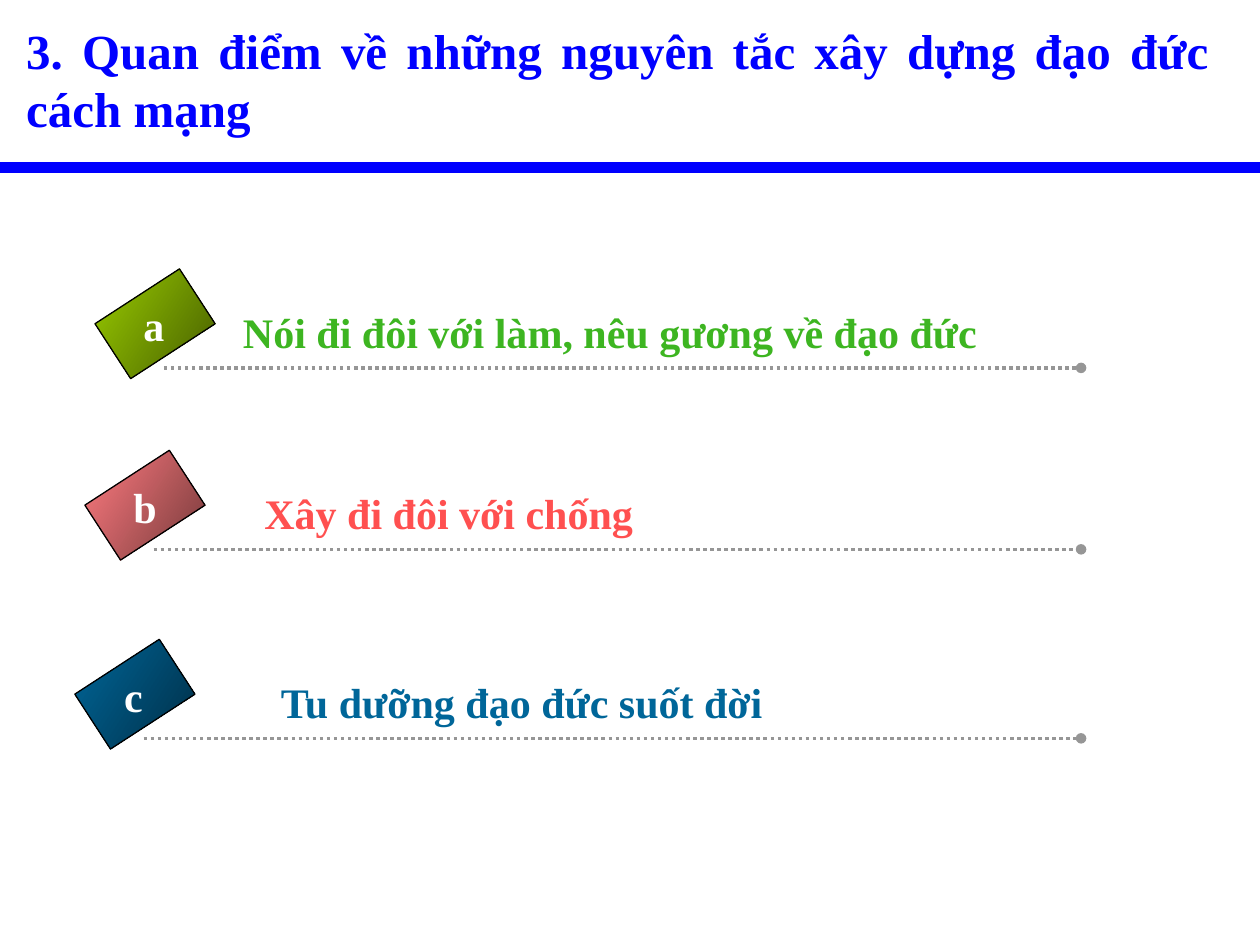
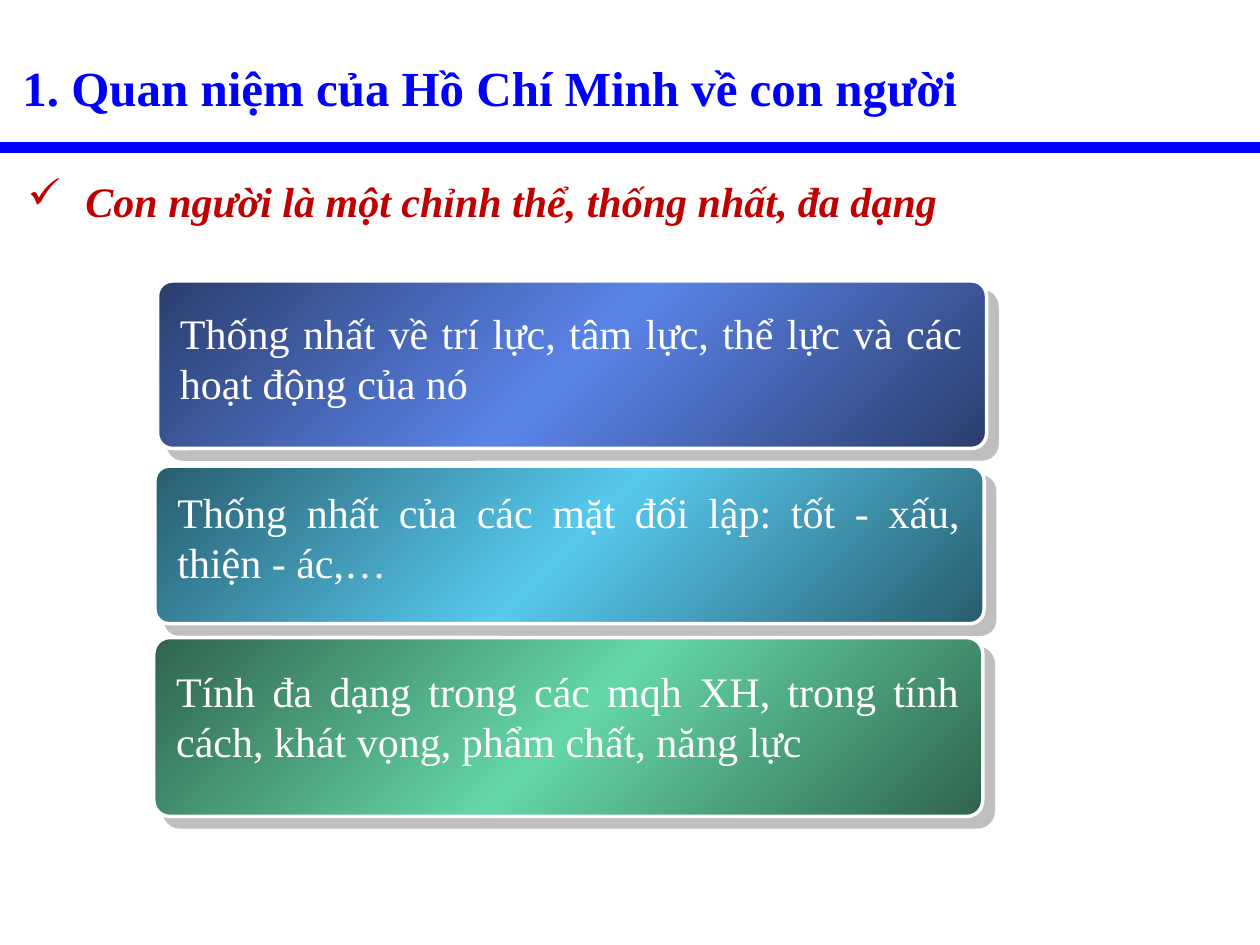
from pptx import Presentation
from pptx.dml.color import RGBColor
from pptx.enum.dml import MSO_LINE
from pptx.enum.shapes import MSO_CONNECTOR, MSO_SHAPE
from pptx.enum.text import MSO_AUTO_SIZE as AUTO, PP_ALIGN as ALIGN
from pptx.oxml import parse_xml
from pptx.oxml.ns import nsdecls, qn
from pptx.util import Inches, Pt

FONT = "Times New Roman"
COLORS = {
    "title": "0000FF", "point": "C00000", "white": "FFFFFF", "black": "000000",
    "rule": "969696", "shadow": "808080",
    "green_text": "3DB521", "red_text": "FF5050", "blue_text": "006699",
    "lime": "99CC00", "lime_dark": "475E00",
    "coral": "FF7C80", "coral_dark": "76393B",
    "navy": "006699", "navy_dark": "002F47",
    "indigo": "5B84E9", "indigo_dark": "2A3D6C",
    "sky": "57C9ED", "sky_dark": "285D6E",
    "mint": "65D7A6", "mint_dark": "2F634D",
}


def rgb(name):
    return RGBColor.from_string(COLORS[name])


def add_xml(parent, xml):
    """Append a DrawingML element, given without its namespace."""
    tag, rest = xml[1:].split(" ", 1)
    parent.append(parse_xml(f"<{tag} {nsdecls('a')} {rest}"))


def add_text(slide, box, text, color, size=24, bold=True, italic=False,
             align=ALIGN.LEFT, wrap=True, spacing=None, bullet=None, indent=0):
    s = slide.shapes.add_textbox(*map(Inches, box))
    tf = s.text_frame
    tf.word_wrap = wrap
    tf.auto_size = AUTO.SHAPE_TO_FIT_TEXT
    p = tf.paragraphs[0]
    p.text = text
    p.alignment = align
    if spacing:
        p.line_spacing = spacing
    if bullet:
        pPr = p._p.get_or_add_pPr()
        pPr.set("marL", str(Inches(indent)))
        pPr.set("indent", str(-Inches(indent)))
        add_xml(pPr, f'<a:buChar char="{bullet}"/>')
    font = p.runs[0].font
    font.name, font.size = FONT, Pt(size)
    font.bold, font.italic = bold, italic
    font.color.rgb = rgb(color)


def add_line(slide, x1, x2, y, color, width, dotted=False):
    s = slide.shapes.add_connector(MSO_CONNECTOR.STRAIGHT, *map(Inches, (x1, y, x2, y)))
    s.line.color.rgb = rgb(color)
    s.line.width = Pt(width)
    spPr = s._element.spPr
    if dotted:
        s.line.dash_style = MSO_LINE.ROUND_DOT
        add_xml(spPr.find(qn("a:ln")), '<a:tailEnd type="oval"/>')
    add_xml(spPr, "<a:effectLst />")


def add_gradient_shape(slide, kind, box, colors, angle, line, width):
    """Add an outlined shape whose colours are spread evenly along the angle."""
    s = slide.shapes.add_shape(kind, *map(Inches, box))
    s.fill.solid()
    s.line.color.rgb = rgb(line)
    s.line.width = Pt(width)
    s.shadow.inherit = False
    last = len(colors) - 1
    stops = "".join(
        f'<a:gs pos="{100000 * i // last}"><a:srgbClr val="{COLORS[c]}"/></a:gs>'
        for i, c in enumerate(colors))
    spPr = s._element.spPr
    spPr.replace(spPr.find(qn("a:solidFill")), parse_xml(
        f'<a:gradFill {nsdecls("a")} rotWithShape="0"><a:gsLst>{stops}</a:gsLst>'
        f'<a:lin ang="{angle * 60000}" scaled="1"/></a:gradFill>'))
    return s


def add_heading(slide, text, box, rule_y, spacing=None):
    add_line(slide, 0, 10, rule_y, "title", 6)
    add_text(slide, box, text, "title", size=28, align=ALIGN.JUSTIFY, spacing=spacing)


def add_principle(slide, letter, text, color, tile_colors, left, rule_y, text_left):
    """Lettered tilted tile and a label over a dotted rule."""
    right = 8.58
    add_line(slide, left + 0.33, right, rule_y, "rule", 2, dotted=True)
    tile = add_gradient_shape(slide, MSO_SHAPE.RECTANGLE, (left, rule_y - 0.75, 0.52, 0.8),
                              tile_colors, 33, "black", 0.75)
    tile.rotation = 57
    add_text(slide, (text_left, rule_y - 0.54, right - text_left, 0.5), text, color)
    add_text(slide, (left + 0.07, rule_y - 0.59, 0.36, 0.5), letter, "white",
             align=ALIGN.CENTER, wrap=False)


def add_card(slide, text, tone, box, text_offset):
    dark = f"{tone}_dark"
    s = add_gradient_shape(slide, MSO_SHAPE.ROUNDED_RECTANGLE, box,
                           (dark, tone, dark), 45, "white", 2)
    s.adjustments[0] = 0.09
    add_xml(s._element.spPr.find(qn("a:effectLst")),
            f'<a:outerShdw dist="{Pt(8.5)}" dir="2700000" algn="ctr" rotWithShape="0">'
            f'<a:srgbClr val="{COLORS["shadow"]}"><a:alpha val="50000"/></a:srgbClr>'
            '</a:outerShdw>')
    left, top, width, _ = box
    add_text(slide, (left + 0.08, top + text_offset, width - 0.17, 0.9), text, "white",
             bold=False, align=ALIGN.JUSTIFY)


def build_principles(slide):
    add_heading(slide, "3. Quan điểm về những nguyên tắc xây dựng đạo đức cách mạng",
                (0.11, 0.11, 9.58, 1.04), 1.33)
    principles = [
        ("a", "Nói đi đôi với làm, nêu gương về đạo đức", "green_text", "lime", 2.92, 1.83),
        ("b", "Xây đi đôi với chống", "red_text", "coral", 4.36, 2),
        ("c", "Tu dưỡng đạo đức suốt đời", "blue_text", "navy", 5.86, 2.13),
    ]
    for i, (letter, text, color, tone, rule_y, text_left) in enumerate(principles):
        add_principle(slide, letter, text, color, (tone, f"{tone}_dark"),
                      0.97 - 0.08 * i, rule_y, text_left)


def build_human_concept(slide):
    add_heading(slide, "1. Quan niệm của Hồ Chí Minh về con người",
                (0.08, 0.17, 9.58, 0.8), 1.17, spacing=1.5)
    add_text(slide, (0.12, 1.34, 9.58, 0.5), "Con người là một chỉnh thể, thống nhất, đa dạng",
             "point", italic=True, align=ALIGN.JUSTIFY, bullet="✓", indent=0.46)
    cards = [
        ("Thống nhất về trí lực, tâm lực, thể lực và các hoạt động của nó",
         "indigo", (1.25, 2.23, 6.58, 1.33), 0.16),
        ("Thống nhất của các mặt đối lập: tốt - xấu, thiện - ác,…",
         "sky", (1.23, 3.7, 6.58, 1.25), 0.11),
        ("Tính đa dạng trong các mqh XH, trong tính cách, khát vọng, phẩm chất, năng lực",
         "mint", (1.22, 5.06, 6.58, 1.42), 0.17),
    ]
    for card in cards:
        add_card(slide, *card)


def main():
    prs = Presentation()
    prs.slide_width, prs.slide_height = Inches(10), Inches(7.5)
    for build in (build_principles, build_human_concept):
        build(prs.slides.add_slide(prs.slide_layouts[6]))
    prs.save("out.pptx")


if __name__ == "__main__":
    main()
